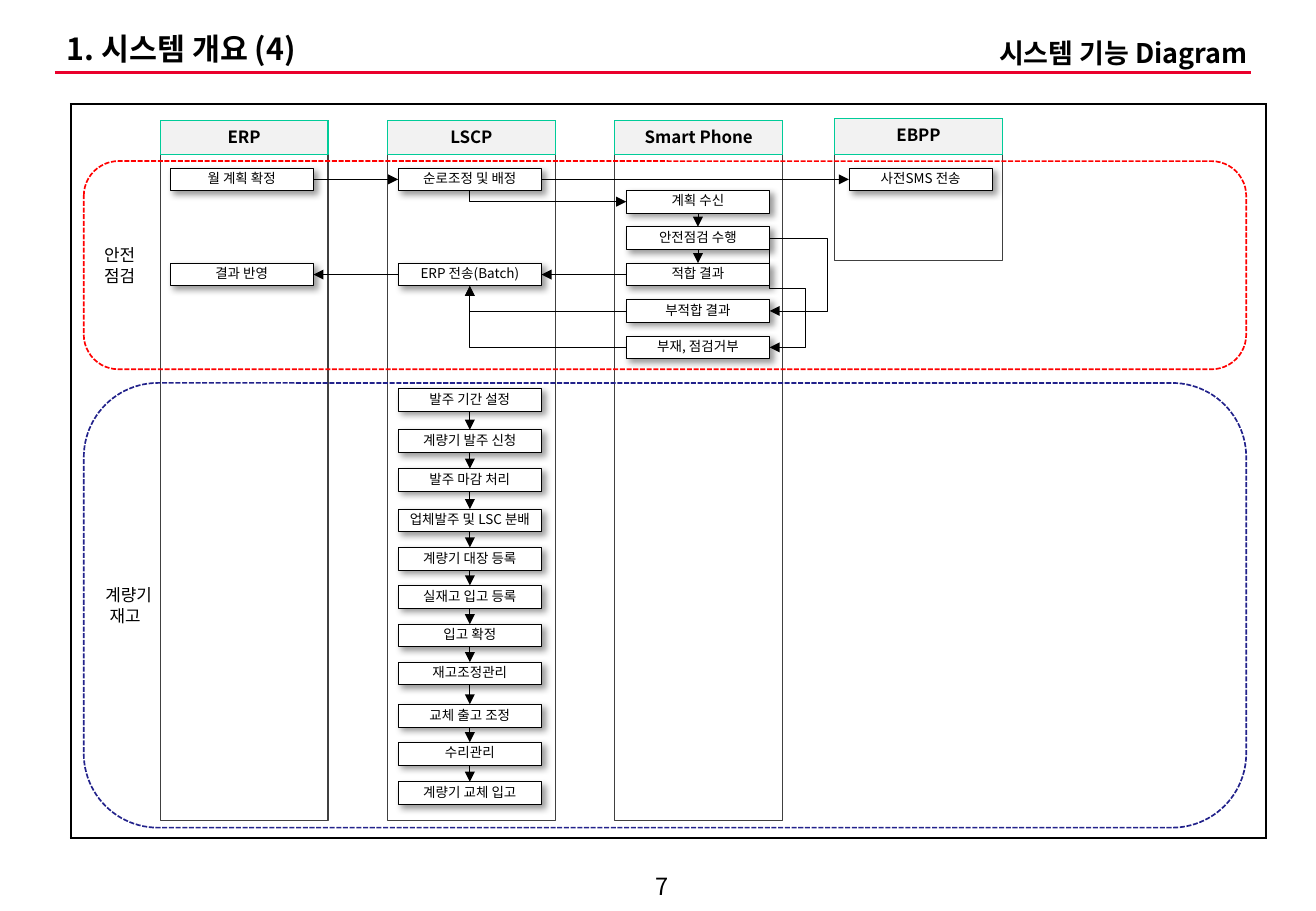
"""Build the system function diagram slide with its lanes, steps and flows."""
from dataclasses import dataclass
from itertools import pairwise

from lxml.etree import SubElement
from pptx import Presentation
from pptx.dml.color import RGBColor
from pptx.enum.dml import MSO_LINE
from pptx.enum.shapes import MSO_CONNECTOR, MSO_SHAPE
from pptx.enum.text import MSO_ANCHOR as Anchor, PP_ALIGN as Align
from pptx.oxml.ns import qn
from pptx.util import Pt

FONT = "Noto Sans CJK KR"
BLACK, WHITE = "000000", "FFFFFF"
BOX_W, BOX_H = 85, 13.5
LANE_W = 99.4
Point = tuple[float, float]


@dataclass(frozen=True)
class Lane:
    """A system column with a header."""
    name: str
    left: float
    top: float = 71.3
    height: float = 415.2
    head: float = 20.4


@dataclass(frozen=True)
class Step:
    """A process box and the points where arrows meet it."""
    text: str
    left: float
    top: float

    @property
    def mid(self) -> float:
        """Return the vertical middle."""
        return self.top + BOX_H / 2

    @property
    def west(self) -> Point:
        """Return the middle of the left side."""
        return self.left, self.mid

    @property
    def east(self) -> Point:
        """Return the middle of the right side."""
        return self.left + BOX_W, self.mid

    @property
    def north(self) -> Point:
        """Return the middle of the top side."""
        return self.left + BOX_W / 2, self.top

    @property
    def south(self) -> Point:
        """Return the middle of the bottom side."""
        return self.left + BOX_W / 2, self.top + BOX_H


@dataclass(frozen=True)
class Area:
    """A dashed work area with an indent for each label line."""
    label: str
    top: float
    height: float
    color: str
    indents: tuple[float, float]


def rgb(color: str) -> RGBColor:
    """Turn a hex string into a colour."""
    return RGBColor.from_string(color)


def write(s, text: str, size: float, bold: bool = False, align=Align.LEFT,
          anchor=Anchor.TOP, inset: Point = (7.2, 3.6), wrap: bool = True,
          spacing: float = 1.0, indents: tuple[float, ...] = ()) -> None:
    """Fill a shape with formatted text, one paragraph a line."""
    tf = s.text_frame
    tf.word_wrap, tf.vertical_anchor = wrap, anchor
    tf.margin_left = tf.margin_right = Pt(inset[0])
    tf.margin_top = tf.margin_bottom = Pt(inset[1])
    tf.text = text
    for p in tf.paragraphs:
        p.alignment, p.line_spacing = align, spacing
        for r in p.runs:
            r.font.size, r.font.bold, r.font.name = Pt(size), bold, FONT
            r.font.color.rgb = rgb(BLACK)
            SubElement(r.font._element, qn("a:ea"), typeface=FONT)
    for p, indent in zip(tf.paragraphs, indents):
        p._p.get_or_add_pPr().set("marL", str(Pt(indent)))


def textbox(left: float, top: float, width: float, height: float,
            text: str, size: float, **fmt) -> None:
    """Place a text box."""
    write(slide.shapes.add_textbox(Pt(left), Pt(top), Pt(width), Pt(height)),
          text, size, **fmt)


def outline(s, color: str, width: float) -> None:
    """Set the line of a shape."""
    s.line.color.rgb, s.line.width = rgb(color), Pt(width)


def shape(kind, left: float, top: float, width: float, height: float,
          line: str, weight: float, fill: str | None = None):
    """Draw a preset shape without a shadow."""
    s = slide.shapes.add_shape(kind, Pt(left), Pt(top), Pt(width), Pt(height))
    s.shadow.inherit = False
    outline(s, line, weight)
    if fill:
        s.fill.solid()
        s.fill.fore_color.rgb = rgb(fill)
    else:
        s.fill.background()
    return s


def line(start: Point, end: Point, color: str = BLACK, weight: float = 0.5):
    """Draw a straight connector."""
    s = slide.shapes.add_connector(MSO_CONNECTOR.STRAIGHT,
                                   *(Pt(v) for v in (*start, *end)))
    outline(s, color, weight)
    SubElement(s._element.spPr, qn("a:effectLst"))
    return s


def arrow(*points: Point) -> None:
    """Draw an arrow along two or more points."""
    if len(points) == 2:
        s = line(*points)
    else:
        route = [(Pt(x), Pt(y)) for x, y in points]
        path = slide.shapes.build_freeform(*route[0])
        path.add_line_segments(route[1:], close=False)
        s = path.convert_to_shape()
        s.shadow.inherit = False
        s.fill.background()
        outline(s, BLACK, 0.5)
    SubElement(s._element.spPr.find(qn("a:ln")), qn("a:tailEnd"),
               type="triangle")


def frame(left: float, top: float, width: float, height: float) -> None:
    """Draw the one-cell table that frames the diagram."""
    tbl = slide.shapes.add_table(1, 1, Pt(left), Pt(top), Pt(width),
                                 Pt(height)).table
    cell = tbl.cell(0, 0)
    tc_pr = cell._tc.get_or_add_tcPr()
    for side in "LRTB":
        ln = SubElement(tc_pr, qn(f"a:ln{side}"), w=str(Pt(1.5)))
        SubElement(SubElement(ln, qn("a:solidFill")), qn("a:srgbClr"),
                   val=BLACK)
    cell.fill.solid()
    cell.fill.fore_color.rgb = rgb(WHITE)


def draw_lane(lane: Lane) -> None:
    """Draw a lane and its header."""
    rect = MSO_SHAPE.RECTANGLE
    shape(rect, lane.left, lane.top, LANE_W, lane.height, "404040", 0.75)
    s = shape(rect, lane.left, lane.top, LANE_W, lane.head, "00CC99", 0.75,
              "F2F2F2")
    write(s, lane.name, 10, bold=True, align=Align.CENTER, inset=(3, 3.6),
          wrap=False)


def draw_step(step: Step) -> None:
    """Draw a process box with a soft shadow."""
    s = shape(MSO_SHAPE.RECTANGLE, step.left, step.top, BOX_W, BOX_H,
              BLACK, 0.5, WHITE)
    shadow = SubElement(s._element.spPr.find(qn("a:effectLst")),
                        qn("a:outerShdw"), blurRad=str(Pt(4)),
                        dist=str(Pt(3)), dir="2700000", algn="tl",
                        rotWithShape="0")
    clr = SubElement(shadow, qn("a:srgbClr"), val=BLACK)
    SubElement(clr, qn("a:alpha"), val="40000")
    write(s, step.text, 8, align=Align.CENTER, anchor=Anchor.MIDDLE,
          inset=(1.4, 2.9), spacing=0.9)


def draw_area(area: Area) -> None:
    """Draw a dashed area and its label."""
    s = shape(MSO_SHAPE.ROUNDED_RECTANGLE, 49.7, area.top, 689, area.height,
              area.color, 1)
    s.line.dash_style = MSO_LINE.SQUARE_DOT
    write(s, area.label, 10, anchor=Anchor.MIDDLE, inset=(0, 0),
          indents=area.indents)


LANES = [Lane("ERP", 95), Lane("LSCP", 229.7), Lane("Smart Phone", 364.4),
         Lane("EBPP", 494.7, 70.3, 84.2, 21.4)]
AREAS = [Area("안전\n점검", 95.5, 123.4, "FF0000", (6, 6)),
         Area("계량기\n재고", 227, 263.6, "22228B", (0, 2.5))]
ERP_X, LSCP_X, PHONE_X, EBPP_X = 100.8, 236, 371.2, 503.2
PLAN_Y, PHONE_Y, PHONE_STEP = 99.6, 112.8, 21.6

plan = Step("월 계획 확정", ERP_X, PLAN_Y)
assign = Step("순로조정 및 배정", LSCP_X, PLAN_Y)
notice = Step("사전SMS 전송", EBPP_X, PLAN_Y)
phone = [Step(text, PHONE_X, PHONE_Y + i * PHONE_STEP) for i, text in enumerate(
    ["계획 수신", "안전점검 수행", "적합 결과", "부적합 결과", "부재, 점검거부"])]
receive, inspect, passed, failed, absent = phone
send = Step("ERP 전송(Batch)", LSCP_X, passed.top)
reflect = Step("결과 반영", ERP_X, passed.top)
stock = [Step(text, LSCP_X, top) for text, top in [
    ("발주 기간 설정", 230.3), ("계량기 발주 신청", 254.7),
    ("발주 마감 처리", 277.8), ("업체발주 및 LSC 분배", 301.8),
    ("계량기 대장 등록", 324.5), ("실재고 입고 등록", 347),
    ("입고 확정", 370), ("재고조정관리", 392.5), ("교체 출고 조정", 417.5),
    ("수리관리", 440), ("계량기 교체 입고", 463.4)]]

edge, spine = passed.east[0], send.south[0]
fail_x, absent_x, turn_y = 490.5, 477.5, 171
ARROWS = [
    (plan.east, assign.west), (assign.east, notice.west),
    (assign.south, (spine, receive.mid), receive.west),
    (receive.south, inspect.north), (inspect.south, passed.north),
    (passed.west, send.east), (send.west, reflect.east),
    (inspect.east, (fail_x, inspect.mid), (fail_x, failed.mid), failed.east),
    (inspect.east, (edge, turn_y), (absent_x, turn_y),
     (absent_x, absent.mid), absent.east),
    (failed.west, (spine, failed.mid), send.south),
    (absent.west, (spine, absent.mid), send.south),
    *((a.south, b.north) for a, b in pairwise(stock))]

prs = Presentation()
prs.slide_width, prs.slide_height = Pt(780), Pt(540)
slide = prs.slides.add_slide(prs.slide_layouts[6])
textbox(367, 514, 51, 22, "7", 14, align=Align.CENTER, anchor=Anchor.MIDDLE)
line((32.5, 43), (741.5, 43), "EA002C", 2.25)
frame(42, 61.8, 708.6, 434.8)
textbox(549.5, 18, 197, 26.6, "시스템 기능 Diagram", 16, bold=True,
        align=Align.RIGHT)
textbox(32.5, 17, 578, 26.6, "1. 시스템 개요 (4)", 18, bold=True,
        anchor=Anchor.MIDDLE, spacing=0.9)
for lane in LANES:
    draw_lane(lane)
for step in [plan, assign, notice, *phone, send, reflect, *stock]:
    draw_step(step)
for points in ARROWS:
    arrow(*points)
for area in AREAS:
    draw_area(area)
prs.save("out.pptx")
